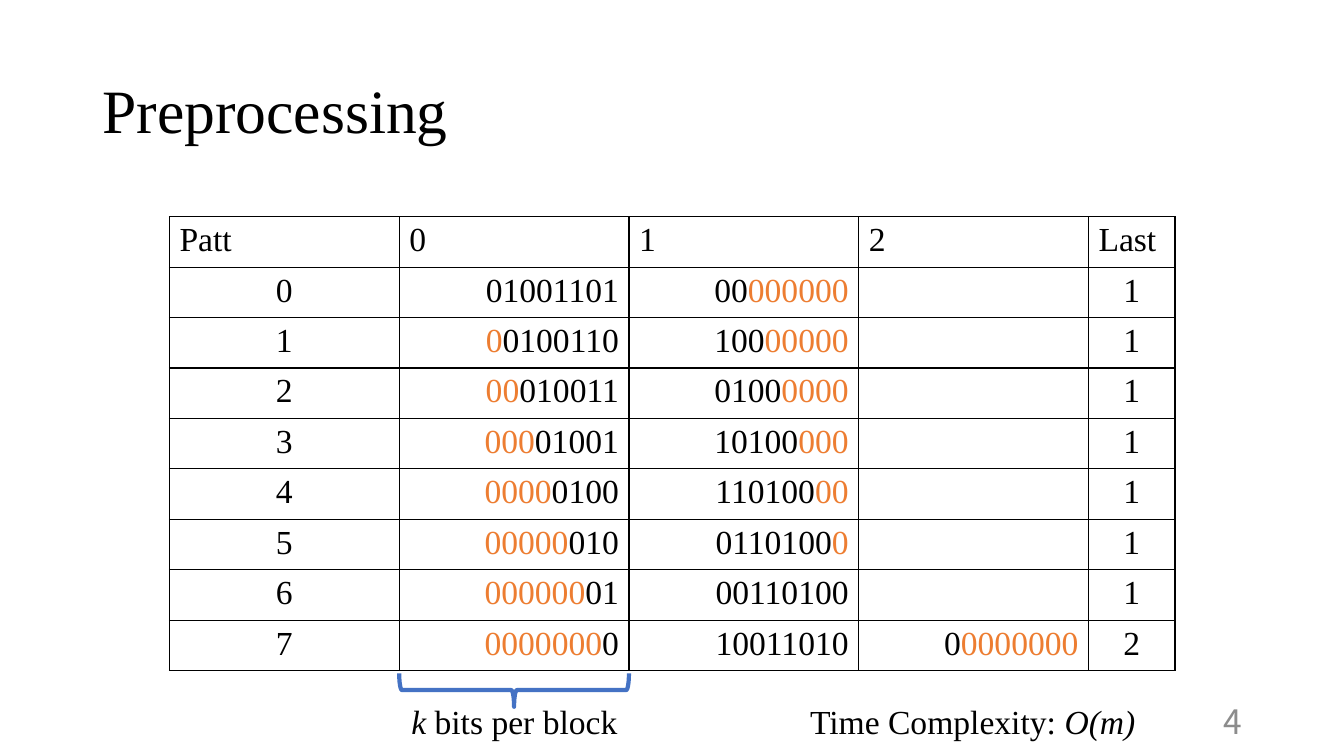
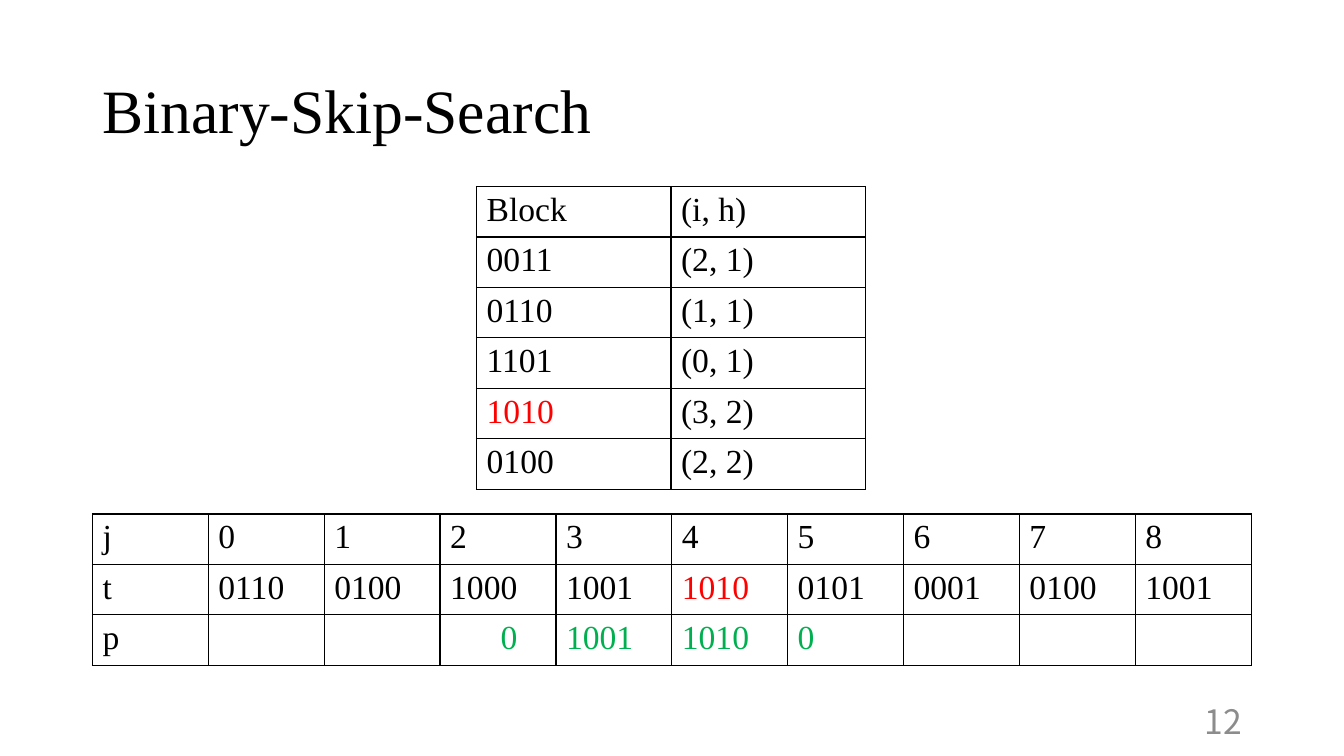
from dataclasses import dataclass

from lxml import etree
from pptx import Presentation
from pptx.dml.color import RGBColor
from pptx.enum import shapes, text
from pptx.oxml import ns
from pptx.util import Cm, Pt


@dataclass(frozen=True)
class Theme:
    font: str = "Times New Roman"
    number_font: str = "Noto Sans CJK JP"
    title_size: int = 44
    body_size: int = 24
    ink: str = "000000"
    number: str = "8C8C8C"
    padding: str = "ED7D31"
    hit: str = "FF0000"
    match: str = "00B050"
    brace: str = "4472C4"


T = Theme()
LEFT, CENTER, RIGHT = text.PP_ALIGN.LEFT, text.PP_ALIGN.CENTER, text.PP_ALIGN.RIGHT
TOP, MIDDLE = text.MSO_ANCHOR.TOP, text.MSO_ANCHOR.MIDDLE

# Content
PATTERN = "0100110100"
BLOCK_BITS = 8
PATTERN_HEADER = ["Patt", "0", "1", "2", "Last"]
BLOCK_LABEL = [("k", {"italic": True}), (" bits per block", {})]
COMPLEXITY = [("Time Complexity:", {}), (" O(m)", {"italic": True})]

HIT_BLOCK = "1010"
BLOCK_ROWS = [
    ("Block", "(i, h)"),
    ("0011", "(2, 1)"),
    ("0110", "(1, 1)"),
    ("1101", "(0, 1)"),
    (HIT_BLOCK, "(3, 2)"),
    ("0100", "(2, 2)"),
]
TEXT_BLOCKS = ["0110", "0100", "1000", "1001", HIT_BLOCK, "0101", "0001", "0100", "1001"]
ALIGNED_PATTERN = ["", "", "0", "1001", "1010", "0", "", "", ""]
FIRST_MATCH = 2       # text block holding the first pattern bit
FIRST_MATCH_BIT = 3   # its bit position inside that block

# Layout, in centimetres
SLIDE_W, SLIDE_H = 33.87, 19.05
TITLE_BOX = (2.33, 1.02, 29.21, 3.68)
NUMBER_BOX = (23.93, 17.65, 7.62, 1.02)
ROW_H = 1.19
PATTERN_AT = (4.27, 5.46)
PATTERN_COLS = [5.79] * 4 + [2.18]
BLOCK_AT = (12.01, 4.7)
BLOCK_COLS = [4.9] * 2
TEXT_AT = (2.33, 12.95)
TEXT_COLS = [2.92] * 10
LABEL_Y, LABEL_H = 17.53, 1.27
BRACE_Y, BRACE_DEPTH = 16.97, 0.84


def write(p, runs, size=T.body_size, font=T.font, color=T.ink, align=LEFT):
    """Fill a paragraph with (text, {color, italic}) runs."""
    p.alignment = align
    for words, look in runs:
        r = p.add_run()
        r.text = words
        r.font.name, r.font.size = font, Pt(size)
        r.font.italic = look.get("italic", False)
        r.font.color.rgb = RGBColor.from_string(look.get("color", color))


def add_text(s, box, runs, anchor=TOP, **style):
    tf = s.shapes.add_textbox(*map(Cm, box)).text_frame
    tf.word_wrap = True
    tf.vertical_anchor = anchor
    write(tf.paragraphs[0], runs, **style)
    return tf


def add_page(prs, title, number):
    s = prs.slides.add_slide(prs.slide_layouts[6])
    tf = add_text(s, TITLE_BOX, [(title, {})], MIDDLE, size=T.title_size)
    tf.paragraphs[0].line_spacing = 0.9
    add_text(s, NUMBER_BOX, [(str(number), {})], MIDDLE,
             font=T.number_font, color=T.number, align=RIGHT)
    return s


def add_borders(cell):
    tc_pr = cell._tc.get_or_add_tcPr()
    for side in ("lnL", "lnR", "lnT", "lnB"):
        ln = etree.SubElement(tc_pr, ns.qn(f"a:{side}"), w=str(Pt(1)))
        fill = etree.SubElement(ln, ns.qn("a:solidFill"))
        etree.SubElement(fill, ns.qn("a:srgbClr"), val=T.ink)


def add_grid(s, at, cols, rows):
    """Draw a ruled table; each cell is a (runs, alignment) pair."""
    size = (sum(cols), ROW_H * len(rows))
    table = s.shapes.add_table(len(rows), len(cols), *map(Cm, at + size)).table
    table.first_row = table.horz_banding = False
    for column, width in zip(table.columns, cols):
        column.width = Cm(width)
    for y, row in enumerate(rows):
        table.rows[y].height = Cm(ROW_H)
        for x, (runs, align) in enumerate(row):
            cell = table.cell(y, x)
            add_borders(cell)
            cell.fill.background()
            write(cell.text_frame.paragraphs[0], runs, align=align)
    return table


def plain(words, align=LEFT, color=T.ink):
    return ([(words, {"color": color})] if words else [], align)


def pattern_row(shift):
    """Cut the shifted pattern into blocks, with the added zeros coloured."""
    end = shift + len(PATTERN)
    last = (end - 1) // BLOCK_BITS
    cells = [plain(str(shift), CENTER)]
    for block in range(len(PATTERN_HEADER) - 2):
        start = block * BLOCK_BITS
        stop = start + BLOCK_BITS
        lead = max(0, shift - start)
        bits = PATTERN[max(0, start - shift):max(0, stop - shift)]
        trail = stop - max(end, start) if block <= last else 0
        parts = [("0" * lead if block <= last else "", T.padding),
                 (bits, T.ink),
                 ("0" * max(0, trail), T.padding)]
        cells.append(([(b, {"color": c}) for b, c in parts if b], RIGHT))
    return cells + [plain(str(last), CENTER)]


def add_brace(s, left, top, span, depth):
    """Draw a brace that lies under a column and points down."""
    x, y = left + (span - depth) / 2, top + (depth - span) / 2
    sp = s.shapes.add_shape(shapes.MSO_SHAPE.RIGHT_BRACE,
                            *map(Cm, (x, y, depth, span)))
    sp.rotation = 90
    sp.shadow.inherit = False
    sp.fill.background()
    sp.line.color.rgb = RGBColor.from_string(T.brace)
    sp.line.width = Pt(3)


def add_preprocessing(prs):
    s = add_page(prs, "Preprocessing", 4)
    rows = [[plain(h) for h in PATTERN_HEADER]]
    rows += [pattern_row(shift) for shift in range(BLOCK_BITS)]
    add_grid(s, PATTERN_AT, PATTERN_COLS, rows)
    block_x = PATTERN_AT[0] + PATTERN_COLS[0]
    add_brace(s, block_x, BRACE_Y, PATTERN_COLS[1], BRACE_DEPTH)
    add_text(s, (8.94, LABEL_Y, 8.05, LABEL_H), BLOCK_LABEL, align=CENTER)
    add_text(s, (20.07, LABEL_Y, 8.89, LABEL_H), COMPLEXITY, align=CENTER)


def add_search(prs):
    def marked(words):
        return plain(words, color=T.hit if words == HIT_BLOCK else T.ink)

    s = add_page(prs, "Binary-Skip-Search", 12)
    rows = [
        [plain("j")] + [plain(str(j)) for j in range(len(TEXT_BLOCKS))],
        [plain("t")] + [marked(b) for b in TEXT_BLOCKS],
        [plain("p")] + [plain(b, color=T.match) for b in ALIGNED_PATTERN],
    ]
    table = add_grid(s, TEXT_AT, TEXT_COLS, rows)
    p = table.cell(2, FIRST_MATCH + 1).text_frame.paragraphs[0]
    digit_width = Pt(T.body_size / 2)
    p._p.get_or_add_pPr().set("marL", str(FIRST_MATCH_BIT * digit_width))
    add_grid(s, BLOCK_AT, BLOCK_COLS, [[marked(c) for c in row] for row in BLOCK_ROWS])


def main():
    prs = Presentation()
    prs.slide_width, prs.slide_height = Cm(SLIDE_W), Cm(SLIDE_H)
    add_preprocessing(prs)
    add_search(prs)
    prs.save("out.pptx")


if __name__ == "__main__":
    main()
